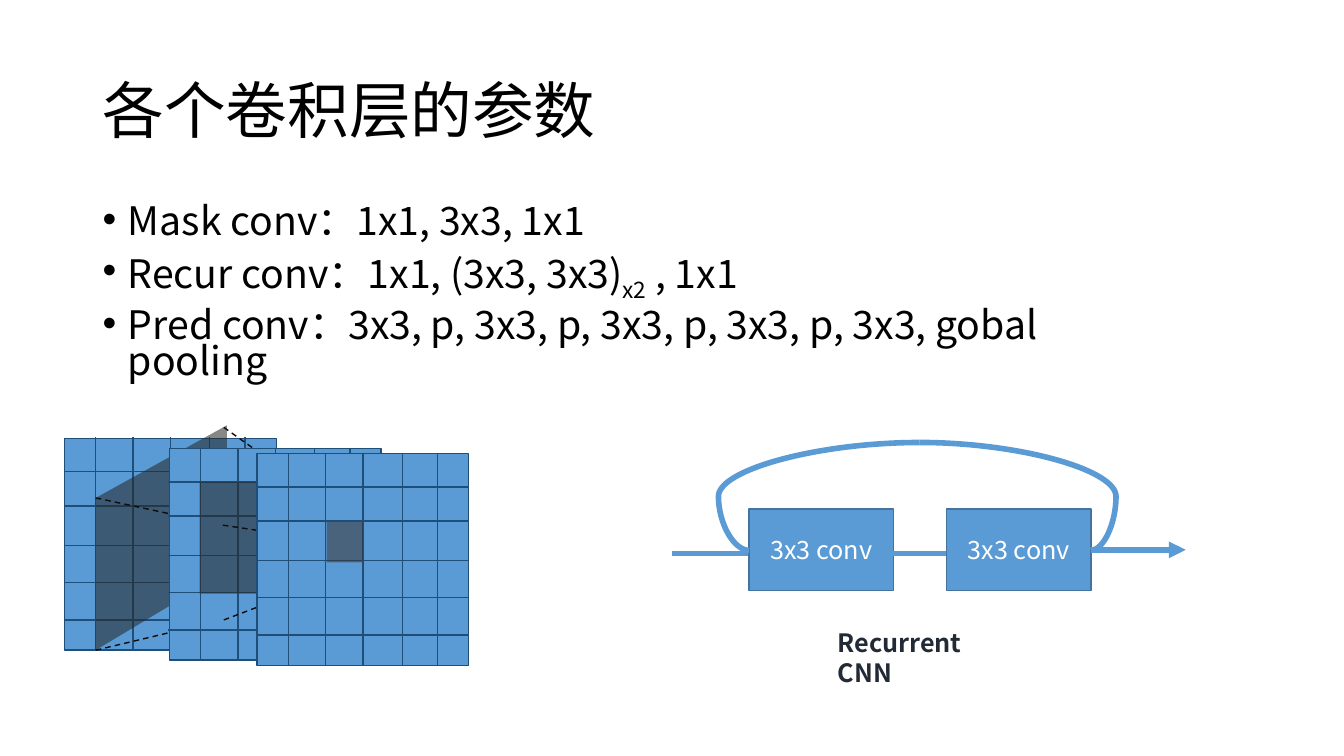
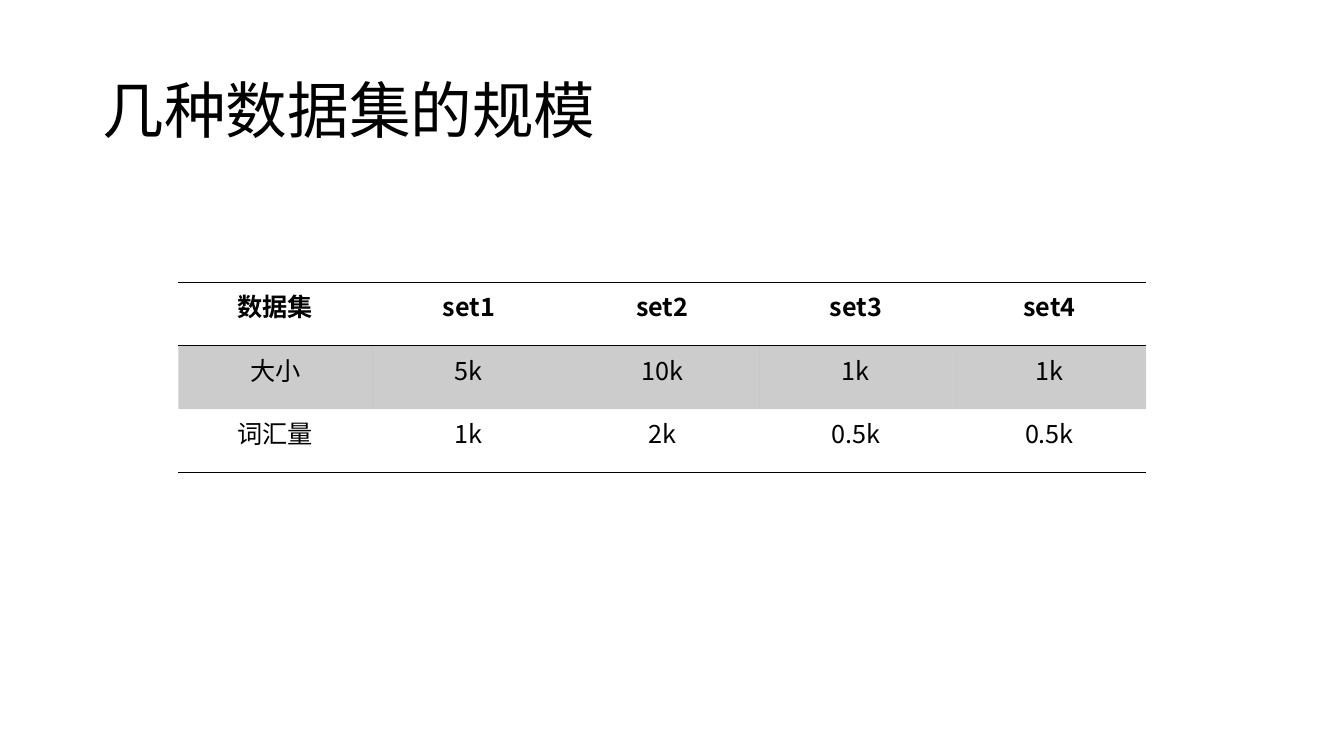
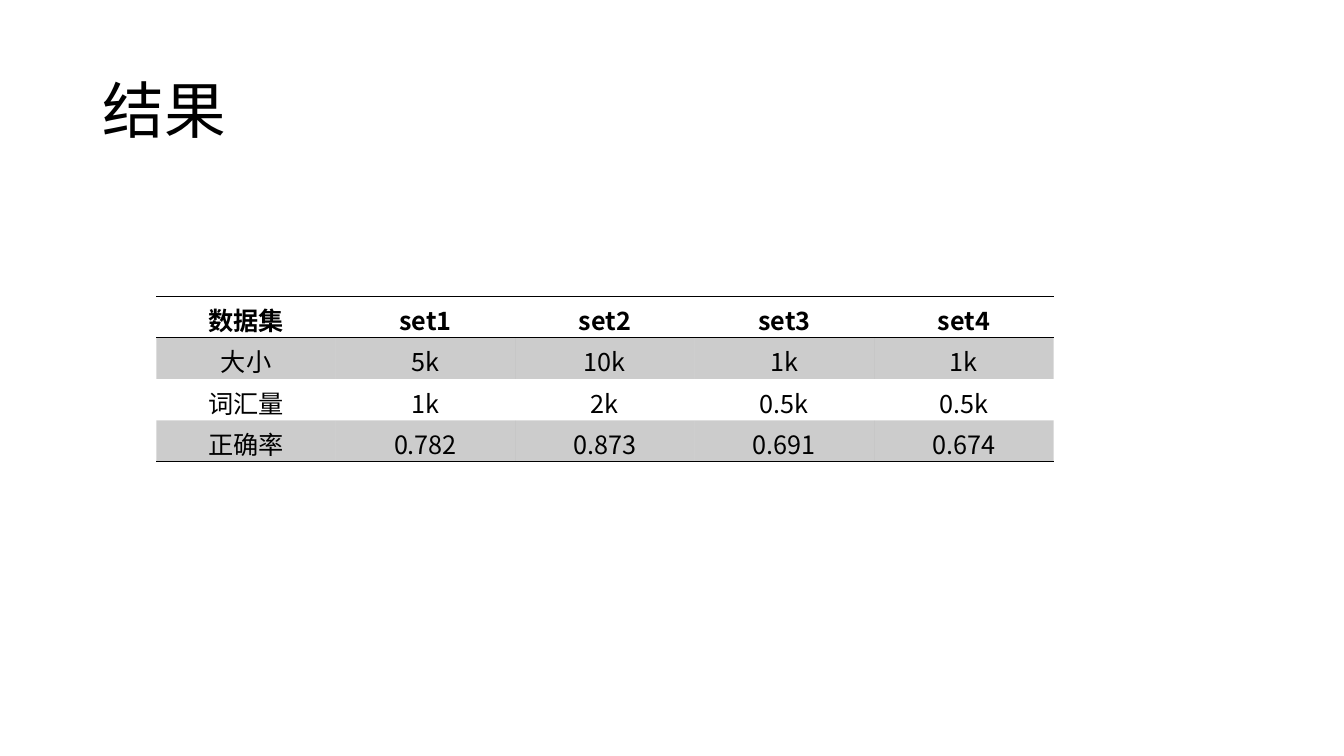
from pptx import Presentation
from pptx.dml.color import RGBColor
from pptx.enum.dml import MSO_LINE
from pptx.enum.shapes import MSO_CONNECTOR, MSO_SHAPE
from pptx.enum.text import MSO_ANCHOR, PP_ALIGN
from pptx.oxml.ns import qn
from pptx.util import Inches, Pt
from lxml import etree

RECT = MSO_SHAPE.RECTANGLE
STRAIGHT, CURVE = MSO_CONNECTOR.STRAIGHT, MSO_CONNECTOR.CURVE
DASH = MSO_LINE.DASH
MIDDLE = MSO_ANCHOR.MIDDLE
CENTER = PP_ALIGN.CENTER

FONT = "Noto Sans CJK SC"
NO_STYLE = "{2D5ABB26-0587-4C30-8999-92F81FD0307C}"
BLACK = RGBColor(0x00, 0x00, 0x00)
WHITE = RGBColor(0xFF, 0xFF, 0xFF)
BLUE = RGBColor(0x5B, 0x9B, 0xD5)
NAVY = RGBColor(0x1F, 0x4E, 0x79)
STEEL = RGBColor(0x43, 0x73, 0x9E)
SLATE = RGBColor(0x22, 0x2A, 0x35)
SHADE = RGBColor(0x26, 0x26, 0x26)
GRAY = RGBColor(0x3B, 0x38, 0x38)
INK = RGBColor(0x0D, 0x0D, 0x0D)

# Slide 1: each run is (text, baseline shift)
TITLES = ["各个卷积层的参数", "几种数据集的规模", "结果"]
LAYERS = [
    [("Mask conv：1x1, 3x3, 1x1", 0)],
    [("Recur conv：1x1, (3x3, 3x3)", 0), ("x2", -25000), (" , 1x1", 0)],
    [("Pred conv：3x3, p, 3x3, p, 3x3, p, 3x3, p, 3x3, gobal pooling", 0)],
]

SIDE = 2.1
ROWS = [0.33, 0.67, 1.06, 1.43, 1.8]
COLS = [0.31, 0.68, 1.05, 1.44, 1.79]
# Each map: corner, dark patch (outline, colour, opacity), dashed rays
MAPS = [
    ((0.64, 4.35),
     ([(0.95, 4.94), (2.25, 4.22), (2.25, 5.67), (0.95, 6.45)], SHADE, 55),
     [(0.95, 4.94, 2.21, 5.21), (0.95, 6.45, 2.21, 6.15),
      (2.22, 4.24, 2.98, 4.78)]),
    ((1.68, 4.45),
     ((1.98, 4.78, 1.13, 1.11), SHADE, 55),
     [(2.21, 5.21, 3.35, 5.38), (2.22, 6.15, 3.35, 5.72)]),
    ((2.55, 4.5), ((3.24, 5.18, 0.36, 0.4), GRAY, 56), []),
]

BOX_TOP, BOX_W, BOX_H = 5.05, 1.43, 0.81
# Left edge of each box and the line that runs in behind it
BOXES = [(7.43, (6.67, 5.49, 7.6, 5.49)), (9.39, (8.86, 5.49, 9.79, 5.49))]
LOOPS = [((10.82, 5.46, 9.12, 4.39), -14700),
         ((9.12, 4.39, 7.43, 5.46), 118000)]

SETS = [
    ["数据集", "set1", "set2", "set3", "set4"],
    ["大小", "5k", "10k", "1k", "1k"],
    ["词汇量", "1k", "2k", "0.5k", "0.5k"],
]
SCORES = ["正确率", "0.782", "0.873", "0.691", "0.674"]
TABLES = [  # title, rows, left, top, column width, row height
    (TITLES[1], SETS, 1.77, 2.8, 1.92, 0.63),
    (TITLES[2], SETS + [SCORES], 1.55, 2.94, 1.78, 0.41),
]


def inches(vals):
    return [Inches(v) for v in vals]


def style(font, color, **form):
    font.name = FONT
    font.color.rgb = color
    for key, val in form.items():
        setattr(font, key, val)


def add_run(para, text, size, color, bold=False):
    run = para.add_run()
    run.text = text
    style(run.font, color, size=Pt(size), bold=bold)
    latin = run.font._element.find(qn("a:latin"))
    asian = etree.Element(qn("a:ea"), typeface=FONT)
    latin.addnext(asian)
    return run


def text_box(slide, *place):
    frame = slide.shapes.add_textbox(*inches(place)).text_frame
    frame.word_wrap = True
    return frame


def new_slide(deck, title):
    slide = deck.slides.add_slide(deck.slide_layouts[6])
    frame = text_box(slide, 0.92, 0.4, 11.5, 1.45)
    frame.vertical_anchor = MIDDLE
    para = frame.paragraphs[0]
    para.line_spacing = 0.9
    add_run(para, title, 44, BLACK)
    return slide


def fade(fill, percent):
    """Make a solid fill see-through, at the given opacity."""
    color = fill._xPr.find(qn("a:solidFill"))[0]
    etree.SubElement(color, qn("a:alpha"), val=str(percent * 1000))


def paint(shape, fill, line=None):
    shape.shadow.inherit = False
    shape.fill.solid()
    shape.fill.fore_color.rgb = fill
    if line is None:
        shape.line.fill.background()
    else:
        shape.line.color.rgb = line
        shape.line.width = Pt(1)


def add_line(shapes, ends, color, width=1, kind=STRAIGHT, dash=None,
             arrow=False):
    wire = shapes.add_connector(kind, *inches(ends))
    wire.line.color.rgb = color
    wire.line.width = Pt(width)
    if dash is not None:
        wire.line.dash_style = dash
    if arrow:
        etree.SubElement(wire.line._get_or_add_ln(), qn("a:tailEnd"),
                         type="triangle")
    etree.SubElement(wire._element.spPr, qn("a:effectLst"))
    return wire


def add_patch(shapes, area, color, percent):
    """Draw a dark patch from a list of corners or a left-top-size tuple."""
    if isinstance(area, list):
        pts = [inches(pt) for pt in area]
        form = shapes.build_freeform(*pts[0])
        form.add_line_segments(pts[1:])
        patch = form.convert_to_shape()
    else:
        patch = shapes.add_shape(RECT, *inches(area))
    paint(patch, color)
    fade(patch.fill, percent)


def draw_maps(shapes):
    for (x, y), patch, rays in MAPS:
        paint(shapes.add_shape(RECT, *inches((x, y, SIDE, SIDE))), BLUE, NAVY)
        for d in ROWS:
            add_line(shapes, (x - 0.01, y + d, x + SIDE, y + d), NAVY)
        for d in COLS:
            add_line(shapes, (x + d, y - 0.01, x + d, y + SIDE), NAVY)
        add_patch(shapes, *patch)
        for ray in rays:
            add_line(shapes, ray, INK, dash=DASH)


def draw_loop(shapes):
    for left, lead in BOXES:
        add_line(shapes, lead, BLUE, 4, arrow=True)
        box = shapes.add_shape(RECT, *inches((left, BOX_TOP, BOX_W, BOX_H)))
        paint(box, BLUE, STEEL)
        box.text_frame.vertical_anchor = MIDDLE
        para = box.text_frame.paragraphs[0]
        para.alignment = CENTER
        add_run(para, "3x3 conv", 18, WHITE)
    mid = BOX_TOP + BOX_H / 2
    out = add_line(shapes, (left + BOX_W, mid, 11.76, mid), BLUE, 4,
                   arrow=True)
    out.begin_connect(box, 3)
    for ends, bend in LOOPS:
        arc = add_line(shapes, ends, BLUE, 4, CURVE)
        guides = arc._element.spPr.find(qn("a:prstGeom")).find(qn("a:avLst"))
        etree.SubElement(guides, qn("a:gd"), name="adj1", fmla=f"val {bend}")


def add_layers(slide):
    frame = text_box(slide, 0.92, 2, 10.44, 1.75)
    for i, runs in enumerate(LAYERS):
        para = frame.add_paragraph() if i else frame.paragraphs[0]
        props = para._p.get_or_add_pPr()
        props.set("marL", str(Inches(0.25)))
        props.set("indent", str(Inches(-0.25)))
        etree.SubElement(props, qn("a:buFont"), typeface="Arial")
        etree.SubElement(props, qn("a:buChar"), char="•")
        para.line_spacing = 0.76
        if i:
            para.space_before = Pt(10)
        for text, shift in runs:
            run = add_run(para, text, 28, BLACK)
            if shift:
                run.font._element.set("baseline", str(shift))


def add_border(cell, side):
    line = etree.SubElement(cell._tc.get_or_add_tcPr(), qn("a:" + side),
                            w=str(Pt(1)))
    fill = etree.SubElement(line, qn("a:solidFill"))
    etree.SubElement(fill, qn("a:srgbClr"), val=str(BLACK))


def add_grid(slide, rows, left, top, wide, high):
    count, cols = len(rows), len(rows[0])
    place = inches((left, top, wide * cols, high * count))
    table = slide.shapes.add_table(count, cols, *place).table
    table._tbl.tblPr.find(qn("a:tableStyleId")).text = NO_STYLE
    table.horz_banding = False
    for r, row in enumerate(rows):
        for c, text in enumerate(row):
            cell = table.cell(r, c)
            para = cell.text_frame.paragraphs[0]
            para.alignment = CENTER
            add_run(para, text, 18, BLACK, bold=r == 0)
            if r == 0:
                add_border(cell, "lnT")
            if r in (0, count - 1):
                add_border(cell, "lnB")
            if r % 2:
                cell.fill.solid()
                cell.fill.fore_color.rgb = BLACK
                fade(cell.fill, 20)
            else:
                cell.fill.background()


def main():
    deck = Presentation()
    deck.slide_width, deck.slide_height = Inches(13.33), Inches(7.5)
    slide = new_slide(deck, TITLES[0])
    add_layers(slide)
    draw_maps(slide.shapes.add_group_shape().shapes)
    draw_loop(slide.shapes.add_group_shape().shapes)
    label = text_box(slide, 8.21, 6.17, 1.93, 0.4)
    add_run(label.paragraphs[0], "Recurrent CNN", 18, SLATE, bold=True)
    for title, *grid in TABLES:
        add_grid(new_slide(deck, title), *grid)
    deck.save("out.pptx")


if __name__ == "__main__":
    main()
